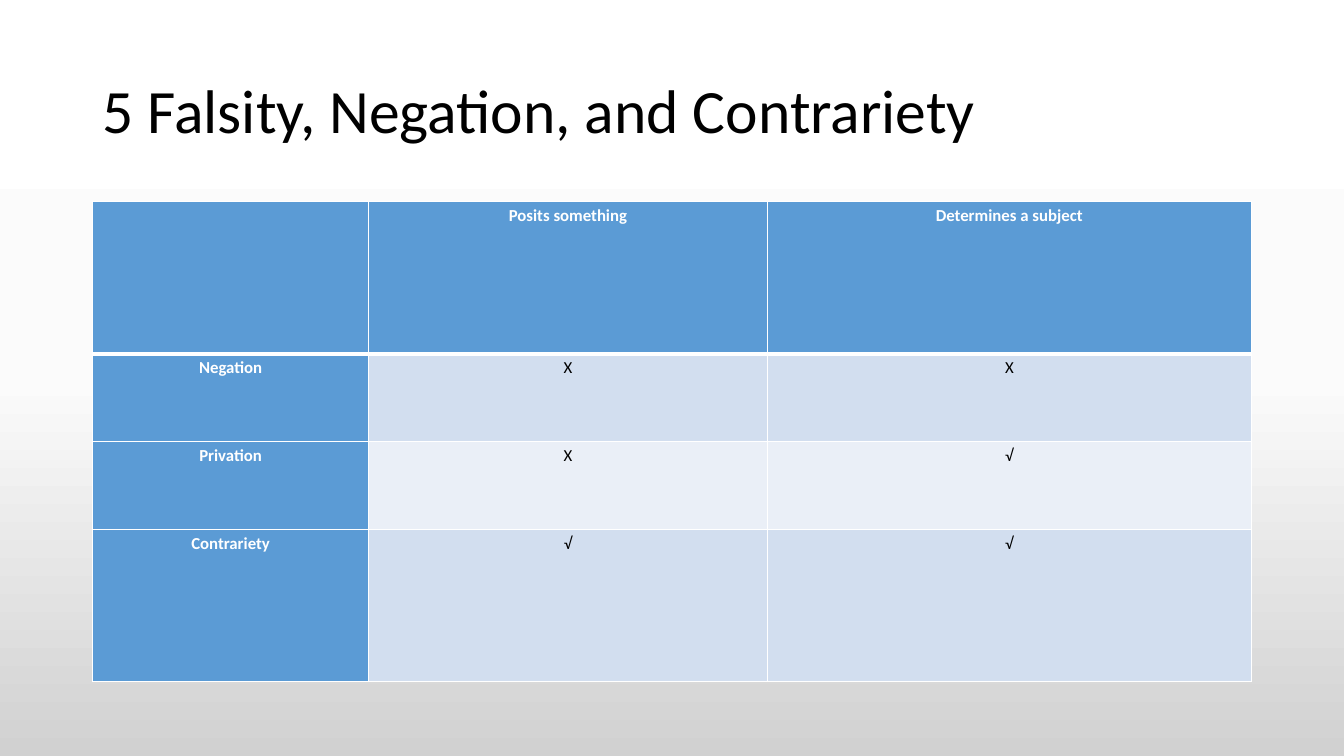
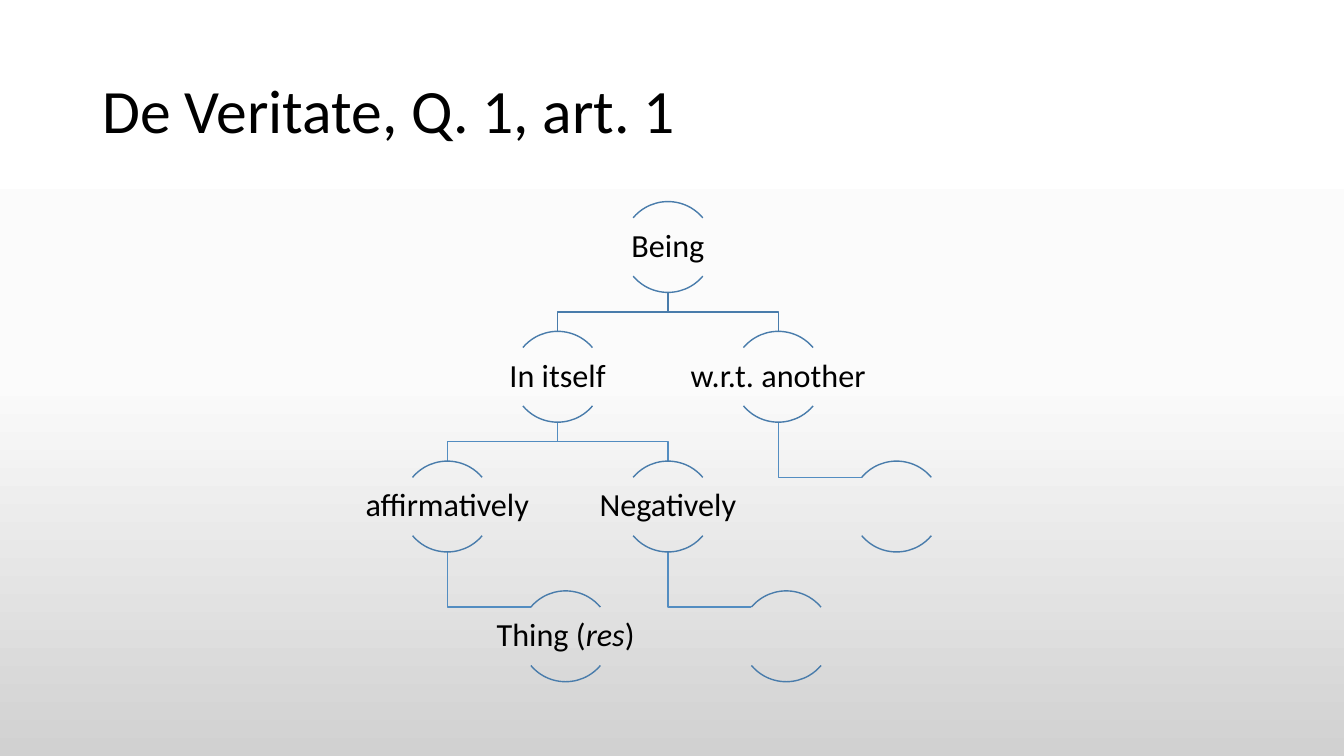
from copy import deepcopy
from dataclasses import dataclass
from math import cos, radians, sin

from pptx import Presentation
from pptx.dml.color import RGBColor
from pptx.enum import shapes, text
from pptx.oxml import parse_xml
from pptx.oxml import ns
from pptx.util import Cm, Pt

BLACK = RGBColor(0x00, 0x00, 0x00)
WHITE = RGBColor(0xFF, 0xFF, 0xFF)
HEADER_BLUE = RGBColor(0x5B, 0x9B, 0xD5)
BANDS = (RGBColor(0xD2, 0xDE, 0xEF), RGBColor(0xEA, 0xEF, 0xF7))
ARC_BLUE = RGBColor(0x49, 0x7C, 0xAB)
BRANCH_BLUE = RGBColor(0x53, 0x8D, 0xC1)
BACKDROP = ((0, WHITE), (0.5, RGBColor(0xFB, 0xFB, 0xFB)), (1, RGBColor(0xD1, 0xD1, 0xD1)))
FONT = "Calibri"


@dataclass
class Box:
    """A region in centimetres."""
    left: float
    top: float
    width: float
    height: float

    def emu(self):
        """Return the four lengths for a python-pptx call."""
        return Cm(self.left), Cm(self.top), Cm(self.width), Cm(self.height)


@dataclass
class Term:
    """A node of the division: its (text, italic) runs and its subdivisions."""
    wording: tuple = ()
    members: tuple = ()


TITLE_BOX = Box(2.33, 1.01, 29.21, 3.68)
BODY_BOX = Box(2.33, 5.08, 29.21, 12.1)

COLUMN_SHARES = (2.74, 3.95, 4.8)
ROW_SHARES = (1.51, 0.87, 0.87, 1.51)
OPPOSITIONS = (
    ("", "Posits something", "Determines a subject"),
    ("Negation", "X", "X"),
    ("Privation", "X", "√"),
    ("Contrariety", "√", "√"),
)

DIAMETER = 2.29
LEVEL_PITCH = 3.27
FORK_REACH = 2.78
HANG_REACH = 2.98
ARC_ANGLE = 40
ARC_SPANS = ((132, 192), (24, 84))
BEING = Term((("Being", False),), (
    Term((("In itself", False),), (
        Term((("affirmatively", False),), (
            Term((("Thing (", False), ("res", True), (")", False))),)),
        Term((("Negatively", False),), (Term(),)),
    )),
    Term((("w.r.t. another", False),), (Term(),)),
))


def add_run(paragraph, words, size, color=BLACK, bold=False, italic=False):
    """Append one formatted run."""
    run = paragraph.add_run()
    run.text = words
    font = run.font
    font.name, font.size, font.bold, font.italic = FONT, Pt(size), bold, italic
    font.color.rgb = color


def paint_backdrop(master):
    """Give every slide the grey vertical gradient."""
    fill = master.background.fill
    fill.gradient()
    fill.gradient_angle = 270
    stop_list = master.element.find(".//" + ns.qn("a:gsLst"))
    stop_list.append(deepcopy(stop_list[0]))
    for stop, (position, color) in zip(fill.gradient_stops, BACKDROP):
        stop.position = position
        stop.color.rgb = color


def add_titled_slide(prs, heading):
    """Add a title-only slide with its heading."""
    slide = prs.slides.add_slide(prs.slide_layouts[5])
    title = slide.shapes.title
    title.left, title.top, title.width, title.height = TITLE_BOX.emu()
    frame = title.text_frame
    frame.auto_size = text.MSO_AUTO_SIZE.NONE
    frame.vertical_anchor = text.MSO_ANCHOR.MIDDLE
    paragraph = frame.paragraphs[0]
    paragraph.alignment = text.PP_ALIGN.LEFT
    paragraph.line_spacing = 0.9
    add_run(paragraph, heading, 44)
    return slide


def border_cell(cell, top, bottom):
    """Draw white cell borders, with the top and bottom widths in points."""
    properties = cell._tc.get_or_add_tcPr()
    for side, points in (("L", 1), ("R", 1), ("T", top), ("B", bottom)):
        properties.append(parse_xml(
            f'<a:ln{side} {ns.nsdecls("a")} w="{Pt(points)}"><a:solidFill>'
            f'<a:srgbClr val="{WHITE}"/></a:solidFill></a:ln{side}>'))


def add_oppositions(slide, box):
    """Fill the box with the table of oppositions."""
    table = slide.shapes.add_table(len(ROW_SHARES), len(COLUMN_SHARES), *box.emu()).table
    for column, share in zip(table.columns, COLUMN_SHARES):
        column.width = Cm(box.width * share / sum(COLUMN_SHARES))
    for row, share in zip(table.rows, ROW_SHARES):
        row.height = Cm(box.height * share / sum(ROW_SHARES))
    for r, entries in enumerate(OPPOSITIONS):
        for c, entry in enumerate(entries):
            cell = table.cell(r, c)
            heading = r == 0 or c == 0
            cell.margin_left = cell.margin_right = Cm(0.1)
            cell.margin_top = cell.margin_bottom = Cm(0.1)
            border_cell(cell, 3 if r == 1 else 1, 3 if r == 0 else 1)
            cell.fill.solid()
            cell.fill.fore_color.rgb = HEADER_BLUE if heading else BANDS[(r - 1) % 2]
            if entry:
                paragraph = cell.text_frame.paragraphs[0]
                paragraph.alignment = text.PP_ALIGN.CENTER
                add_run(paragraph, entry, 12, WHITE if heading else BLACK, heading)


def add_branch(slide, points, color):
    """Draw an angular branch through the points."""
    corners = [(Cm(x), Cm(y)) for x, y in points]
    builder = slide.shapes.build_freeform(*corners[0])
    builder.add_line_segments(corners[1:], close=False)
    branch = builder.convert_to_shape()
    branch.shadow.inherit = False
    branch.fill.background()
    branch.line.color.rgb = color
    branch.line.width = Pt(1)


def add_term(slide, term, center, top):
    """Draw the two arcs of a term and its label."""
    ring = Box(center - DIAMETER / 2, top, DIAMETER, DIAMETER)
    for span in ARC_SPANS:
        arc = slide.shapes.add_shape(shapes.MSO_SHAPE.ARC, *ring.emu())
        arc.adjustments[0], arc.adjustments[1] = span
        arc.shadow.inherit = False
        arc.fill.background()
        arc.line.color.rgb = ARC_BLUE
        arc.line.width = Pt(1)
    if not term.wording:
        return
    height = DIAMETER * sin(radians(ARC_ANGLE))
    label_box = Box(center - DIAMETER, top + (DIAMETER - height) / 2, 2 * DIAMETER, height)
    frame = slide.shapes.add_textbox(*label_box.emu()).text_frame
    frame.word_wrap = True
    frame.vertical_anchor = text.MSO_ANCHOR.MIDDLE
    frame.margin_left = frame.margin_right = Cm(0.04)
    frame.margin_top = frame.margin_bottom = Cm(0.04)
    paragraph = frame.paragraphs[0]
    paragraph.alignment = text.PP_ALIGN.CENTER
    paragraph.line_spacing = 0.9
    for words, italic in term.wording:
        add_run(paragraph, words, 23, italic=italic)


def add_division(slide, term, center, top, branch_color=ARC_BLUE):
    """Draw a term with its members: two fork below it, one hangs to the right."""
    bottom, next_top = top + DIAMETER, top + LEVEL_PITCH
    middle = (bottom + next_top) / 2
    radius, angle = DIAMETER / 2, radians(ARC_ANGLE)
    forked = len(term.members) == 2
    reaches = (-FORK_REACH, FORK_REACH) if forked else (HANG_REACH,)
    for member, reach in zip(term.members, reaches):
        x = center + reach
        if forked:
            bends = [(center, middle), (x, middle), (x, next_top)]
        else:
            arc_end = next_top + radius * (1 - sin(angle))
            bends = [(center, arc_end), (x - radius * cos(angle), arc_end)]
        add_branch(slide, [(center, bottom)] + bends, branch_color)
        add_division(slide, member, x, next_top, BRANCH_BLUE)
    add_term(slide, term, center, top)


def add_tree(slide, box):
    """Centre the division of being in the box."""
    center = box.left + box.width / 2 + (FORK_REACH - HANG_REACH) / 2
    add_division(slide, BEING, center, box.top)


def main():
    """Build and save the two slides."""
    prs = Presentation()
    prs.slide_width, prs.slide_height = Cm(33.87), Cm(19.05)
    paint_backdrop(prs.slide_master)
    add_oppositions(add_titled_slide(prs, "5 Falsity, Negation, and Contrariety"), BODY_BOX)
    add_tree(add_titled_slide(prs, "De Veritate, Q. 1, art. 1"), BODY_BOX)
    prs.save("out.pptx")


if __name__ == "__main__":
    main()
